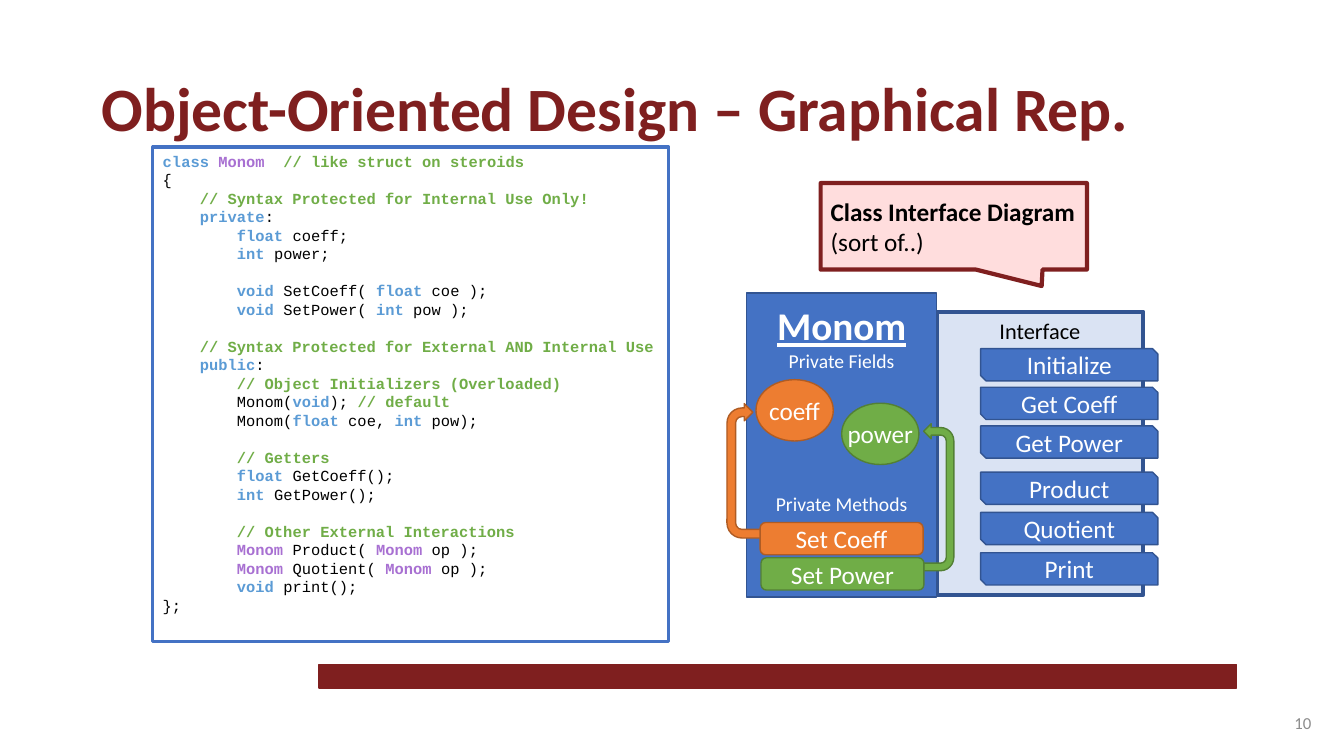
from dataclasses import dataclass, field
from itertools import groupby
from typing import NamedTuple, Optional

from pptx import Presentation
from pptx.dml.color import RGBColor
from pptx.enum.shapes import MSO_SHAPE
from pptx.enum.text import MSO_ANCHOR, PP_ALIGN
from pptx.slide import Slide
from pptx.util import Inches, Length, Pt

CELL = 1 / 12  # inches; the slide is a grid of 160 columns by 90 rows
COLUMNS, ROWS = 160, 90


@dataclass(frozen=True)
class Theme:
    maroon: str = "7F1F1F"
    pink: str = "FFDDDD"
    blue: str = "4472C4"
    navy: str = "325491"
    pale: str = "DAE3F3"
    orange: str = "ED7D31"
    rust: str = "AF5C24"
    green: str = "70AD47"
    moss: str = "538035"
    keyword: str = "5B9BD5"
    type_name: str = "A870D2"
    black: str = "000000"
    white: str = "FFFFFF"
    grey: str = "8C8C8C"
    font: str = "Calibri"
    code_font: str = "Courier New"
    title: float = 44
    heading: float = 28
    label: float = 18
    caption: float = 16
    section: float = 14
    number: float = 12
    code: float = 11
    code_gap: float = 13.2
    fields_gap: float = 85.5


THEME = Theme()


class Area(NamedTuple):
    column: float
    row: float
    columns: float
    rows: float


class Run(NamedTuple):
    text: str
    size: float = THEME.label
    color: str = THEME.white
    bold: bool = False
    underline: bool = False
    font: str = THEME.font


class Line(NamedTuple):
    runs: list[Run]
    align: PP_ALIGN = PP_ALIGN.CENTER
    space_before: float = 0


@dataclass(frozen=True)
class Block:
    area: Area
    lines: list[Line] = field(default_factory=list)
    kind: Optional[MSO_SHAPE] = None  # None makes a text box
    fill: str = THEME.blue
    outline: str = THEME.navy
    weight: float = 1
    anchor: MSO_ANCHOR = MSO_ANCHOR.MIDDLE
    wrap: bool = True
    top_inset: float = 0.6
    rotation: float = 0
    flipped: bool = False
    adjustments: tuple[float, ...] = ()


CODE = """class Monom  // like struct on steroids
{
    // Syntax Protected for Internal Use Only!
    private:
        float coeff;
        int power;

        void SetCoeff( float coe );
        void SetPower( int pow );

    // Syntax Protected for External AND Internal Use
    public:
        // Object Initializers (Overloaded)
        Monom(void); // default
        Monom(float coe, int pow);

        // Getters
        float GetCoeff();
        int GetPower();

        // Other External Interactions
        Monom Product( Monom op );
        Monom Quotient( Monom op );
        void print();
};"""
KEYWORDS = {"class", "private", "public", "float", "int", "void"}


def code_runs(source: str) -> list[Run]:
    """Split a line of code into coloured runs; constructors stay black."""
    code, slashes, comment = source.partition("//")
    pieces = ["".join(group) for _, group in groupby(code, str.isalnum)]
    runs = []
    for piece, following in zip(pieces, pieces[1:] + [""]):
        color = THEME.black
        if piece in KEYWORDS:
            color = THEME.keyword
        elif piece == "Monom" and not following.startswith("("):
            color = THEME.type_name
        runs.append(Run(piece, THEME.code, color, color != THEME.black, font=THEME.code_font))
    if slashes:
        runs.append(Run(slashes + comment, THEME.code, THEME.green, True, font=THEME.code_font))
    return runs


def code_lines(code: str) -> list[Line]:
    """Turn each empty source line into space before the next line."""
    lines, gap = [], 0.0
    for source in code.splitlines():
        if source:
            lines.append(Line(code_runs(source), PP_ALIGN.LEFT, gap))
        gap = 0 if source else THEME.code_gap
    return lines


def label(text: str, size: float = THEME.label, color: str = THEME.white) -> list[Line]:
    return [Line([Run(text, size, color)])]


def button(text: str, row: float) -> Block:
    return Block(Area(116.75, row, 21.1, 3.84), label(text), MSO_SHAPE.SNIP_2_DIAG_RECTANGLE)


def private_part(text: str, area: Area, kind: MSO_SHAPE, fill: str, outline: str) -> Block:
    return Block(area, label(text), kind, fill, outline, wrap=kind != MSO_SHAPE.OVAL)


ORANGE = (THEME.orange, THEME.rust)
GREEN = (THEME.green, THEME.moss)
BUTTON_GROUPS = [
    (41.5, 4.6, ["Initialize", "Get Coeff", "Get Power"]),
    (56.2, 4.8, ["Product", "Quotient", "Print"]),
]
BLOCKS = [
    Block(Area(38, 79.1, 109.2, 2.8), [], MSO_SHAPE.RECTANGLE, THEME.maroon, THEME.maroon),
    Block(Area(10.9, 7.7, 136.2, 10.1),
          [Line([Run("Object-Oriented Design – Graphical Rep.", THEME.title, THEME.maroon, True)],
                PP_ALIGN.LEFT)], anchor=MSO_ANCHOR.TOP),
    Block(Area(121.3, 83.6, 36, 4.8),
          [Line([Run("10", THEME.number, THEME.grey)], PP_ALIGN.RIGHT)]),
    Block(Area(18.2, 17.5, 61.4, 58.9), code_lines(CODE), MSO_SHAPE.RECTANGLE,
          THEME.white, THEME.blue, 2.25, MSO_ANCHOR.TOP),
    Block(Area(111.5, 37.1, 24.6, 33.7), label("Interface", THEME.caption, THEME.black),
          MSO_SHAPE.RECTANGLE, THEME.pale, weight=3, anchor=MSO_ANCHOR.TOP),
    Block(Area(88.9, 34.9, 22.6, 36.2),
          [Line([Run("Monom", THEME.heading, bold=True, underline=True)]),
           Line([Run("Private Fields", THEME.section)]),
           Line([Run("Private Methods", THEME.section)], space_before=THEME.fields_gap)],
          MSO_SHAPE.RECTANGLE, anchor=MSO_ANCHOR.TOP, top_inset=1),
    private_part("coeff", Area(90, 45.2, 9.2, 7.3), MSO_SHAPE.OVAL, *ORANGE),
    private_part("power", Area(100.2, 48, 9.2, 7.3), MSO_SHAPE.OVAL, *GREEN),
    Block(Area(80.6, 54, 16, 4.1), [], MSO_SHAPE.U_TURN_ARROW, *ORANGE, rotation=270),
    Block(Area(103, 57.4, 17.5, 3.6), [], MSO_SHAPE.U_TURN_ARROW, *GREEN, rotation=270,
          flipped=True, adjustments=(0.25, 0.25, 0.25, 0.44, 1)),
    private_part("Set Coeff", Area(90.5, 62.2, 19.4, 3.84), MSO_SHAPE.ROUNDED_RECTANGLE, *ORANGE),
    private_part("Set Power", Area(90.6, 66.4, 19.4, 3.84), MSO_SHAPE.ROUNDED_RECTANGLE, *GREEN),
    *(button(text, start + index * pitch)
      for start, pitch, texts in BUTTON_GROUPS for index, text in enumerate(texts)),
    Block(Area(97.7, 21.8, 31.7, 10.3),
          [Line([Run("Class Interface Diagram", color=THEME.black, bold=True)], PP_ALIGN.LEFT),
           Line([Run("(sort of..)", color=THEME.black)], PP_ALIGN.LEFT)],
          MSO_SHAPE.RECTANGULAR_CALLOUT, THEME.pink, THEME.maroon, 3, adjustments=(0.33, 0.69)),
]


def cells(count: float) -> Length:
    return Inches(count * CELL)


def write_lines(shape, block: Block) -> None:
    frame = shape.text_frame
    frame.word_wrap = block.wrap
    frame.vertical_anchor = block.anchor
    frame.margin_top = cells(block.top_inset)
    for index, line in enumerate(block.lines):
        paragraph = frame.add_paragraph() if index else frame.paragraphs[0]
        paragraph.alignment = line.align
        paragraph.space_before = Pt(line.space_before)
        for item in line.runs:
            run = paragraph.add_run()
            run.text = item.text
            run.font.name = item.font
            run.font.size = Pt(item.size)
            run.font.bold = item.bold
            run.font.underline = item.underline
            run.font.color.rgb = RGBColor.from_string(item.color)


def draw_block(slide: Slide, block: Block) -> None:
    place = [cells(length) for length in block.area]
    if block.kind is None:
        shape = slide.shapes.add_textbox(*place)
    else:
        shape = slide.shapes.add_shape(block.kind, *place)
        shape.shadow.inherit = False
        shape.fill.solid()
        shape.fill.fore_color.rgb = RGBColor.from_string(block.fill)
        shape.line.color.rgb = RGBColor.from_string(block.outline)
        shape.line.width = Pt(block.weight)
        shape.rotation = block.rotation
        for index, value in enumerate(block.adjustments):
            shape.adjustments[index] = value
        if block.flipped:
            shape.element.spPr.xfrm.set("flipV", "1")
    if block.lines:
        write_lines(shape, block)


def main() -> None:
    presentation = Presentation()
    presentation.slide_width, presentation.slide_height = cells(COLUMNS), cells(ROWS)
    slide = presentation.slides.add_slide(presentation.slide_layouts[6])
    for block in BLOCKS:
        draw_block(slide, block)
    presentation.save("out.pptx")


if __name__ == "__main__":
    main()
